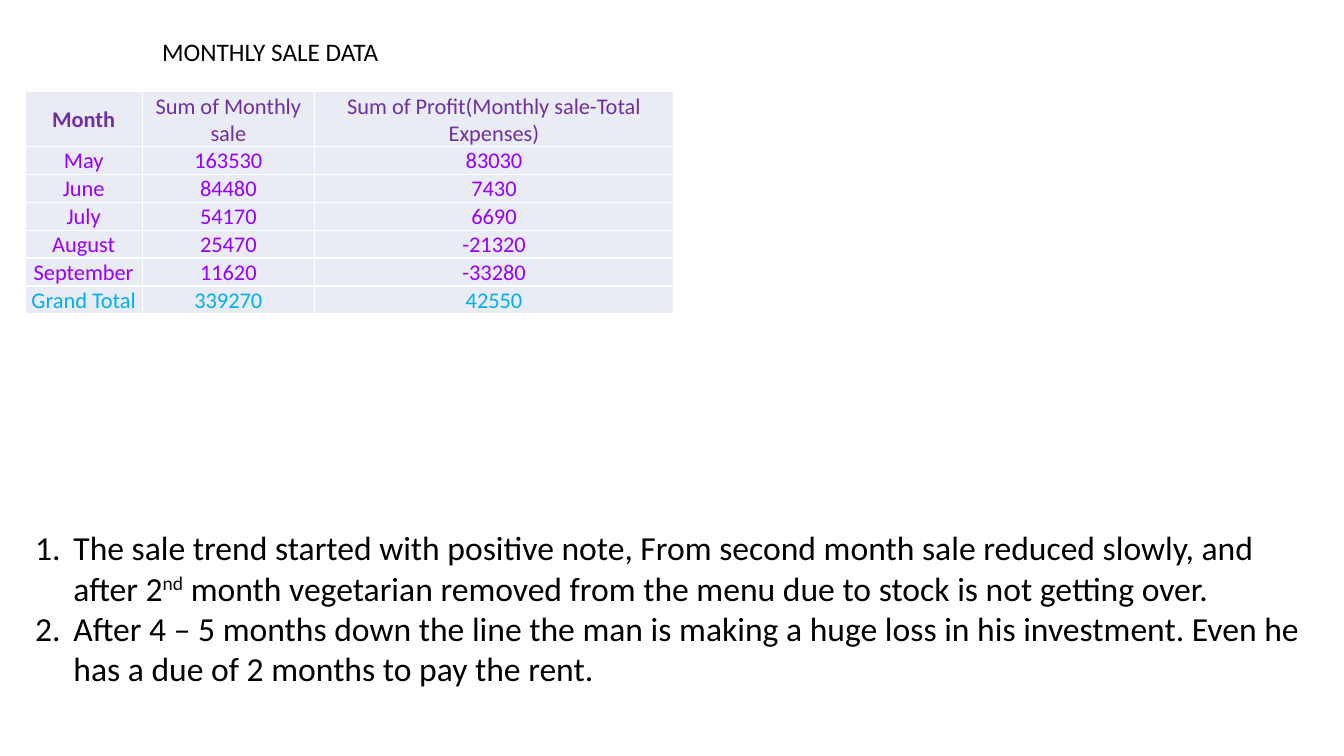
from dataclasses import dataclass

from lxml import etree
from pptx import Presentation
from pptx.dml.color import RGBColor
from pptx.enum.text import MSO_ANCHOR, PP_ALIGN
from pptx.oxml.ns import qn
from pptx.util import Inches, Pt

MIDDLE = MSO_ANCHOR.MIDDLE
CENTER = PP_ALIGN.CENTER


@dataclass(frozen=True)
class Theme:
    """Font, colours and type sizes of the slide."""
    font: str = "Calibri"
    text: str = "000000"
    header: str = "7030A0"
    month: str = "9900FF"
    total: str = "00B0F0"
    cell: str = "E9EBF5"
    border: str = "FFFFFF"
    title_size: int = 18
    table_size: int = 16
    note_size: int = 24


theme = Theme()


def style_paragraph(para, size, color, bold=False):
    """Set the font of a whole paragraph."""
    para.font.name = theme.font
    para.font.size = Pt(size)
    para.font.bold = bold
    para.font.color.rgb = RGBColor.from_string(color)


def add_borders(cell):
    """Draw a thin line on all four sides of a table cell."""
    properties = cell._tc.get_or_add_tcPr()
    for side in ("a:lnL", "a:lnR", "a:lnT", "a:lnB"):
        line = etree.SubElement(properties, qn(side), w=str(Pt(1)))
        fill = etree.SubElement(line, qn("a:solidFill"))
        etree.SubElement(fill, qn("a:srgbClr"), val=theme.border)


deck = Presentation()
deck.slide_width = Inches(13.33)
deck.slide_height = Inches(7.5)
slide = deck.slides.add_slide(deck.slide_layouts[6])

# Title
title_box = slide.shapes.add_textbox(Inches(1.51), Inches(0.31), Inches(10.31), Inches(0.4))
title_box.text_frame.word_wrap = True
title_para = title_box.text_frame.paragraphs[0]
title_para.text = "MONTHLY SALE DATA"
style_paragraph(title_para, theme.title_size, theme.text)

# Monthly sales table; rows grow to fit their text
sales = [
    ("Month", "Sum of Monthly sale", "Sum of Profit(Monthly sale-Total Expenses)"),
    ("May", 163530, 83030),
    ("June", 84480, 7430),
    ("July", 54170, 6690),
    ("August", 25470, -21320),
    ("September", 11620, -33280),
    ("Grand Total", 339270, 42550),
]
column_widths = (1.16, 1.71, 3.56)
row_height = 0.21
row_colors = [theme.header] + [theme.month] * (len(sales) - 2) + [theme.total]

table = slide.shapes.add_table(
    len(sales), len(column_widths), Inches(0.25), Inches(0.91),
    Inches(sum(column_widths)), Inches(row_height * len(sales))).table
table.horz_banding = False
for column, width in zip(table.columns, column_widths):
    column.width = Inches(width)

for row_index, (values, color) in enumerate(zip(sales, row_colors)):
    table.rows[row_index].height = Inches(row_height)
    for column_index, value in enumerate(values):
        cell = table.cell(row_index, column_index)
        cell.margin_left = cell.margin_right = cell.margin_top = Inches(0.01)
        cell.margin_bottom = 0
        cell.vertical_anchor = MIDDLE
        add_borders(cell)
        cell.fill.solid()
        cell.fill.fore_color.rgb = RGBColor.from_string(theme.cell)
        para = cell.text_frame.paragraphs[0]
        para.text = str(value)
        para.alignment = CENTER
        style_paragraph(para, theme.table_size, color, bold=value == "Month")

# Numbered notes; each note is a list of (text, is superscript) spans
notes = [
    [("The sale trend started with positive note, From second month sale "
      "reduced slowly, and after 2", False),
     ("nd", True),
     (" month vegetarian removed from the menu due to stock is not getting over.", False)],
    [("After 4 – 5 months down the line the man is making a huge loss in his "
      "investment. Even he has a due of 2 months to pay the rent.", False)],
]
notes_box = slide.shapes.add_textbox(Inches(0.25), Inches(5.18), Inches(12.84), Inches(2.02))
notes_frame = notes_box.text_frame
notes_frame.word_wrap = True
indent = Inches(0.38)
for note_index, spans in enumerate(notes):
    para = notes_frame.add_paragraph() if note_index else notes_frame.paragraphs[0]
    style_paragraph(para, theme.note_size, theme.text)
    properties = para._p.get_or_add_pPr()
    properties.set("marL", str(indent))
    properties.set("indent", str(-indent))
    numbering = etree.Element(qn("a:buAutoNum"), type="arabicPeriod")
    properties.insert(0, numbering)
    for text, is_superscript in spans:
        span = para.add_run()
        span.text = text
        if is_superscript:
            span.font._element.set("baseline", "30000")

deck.save("out.pptx")
